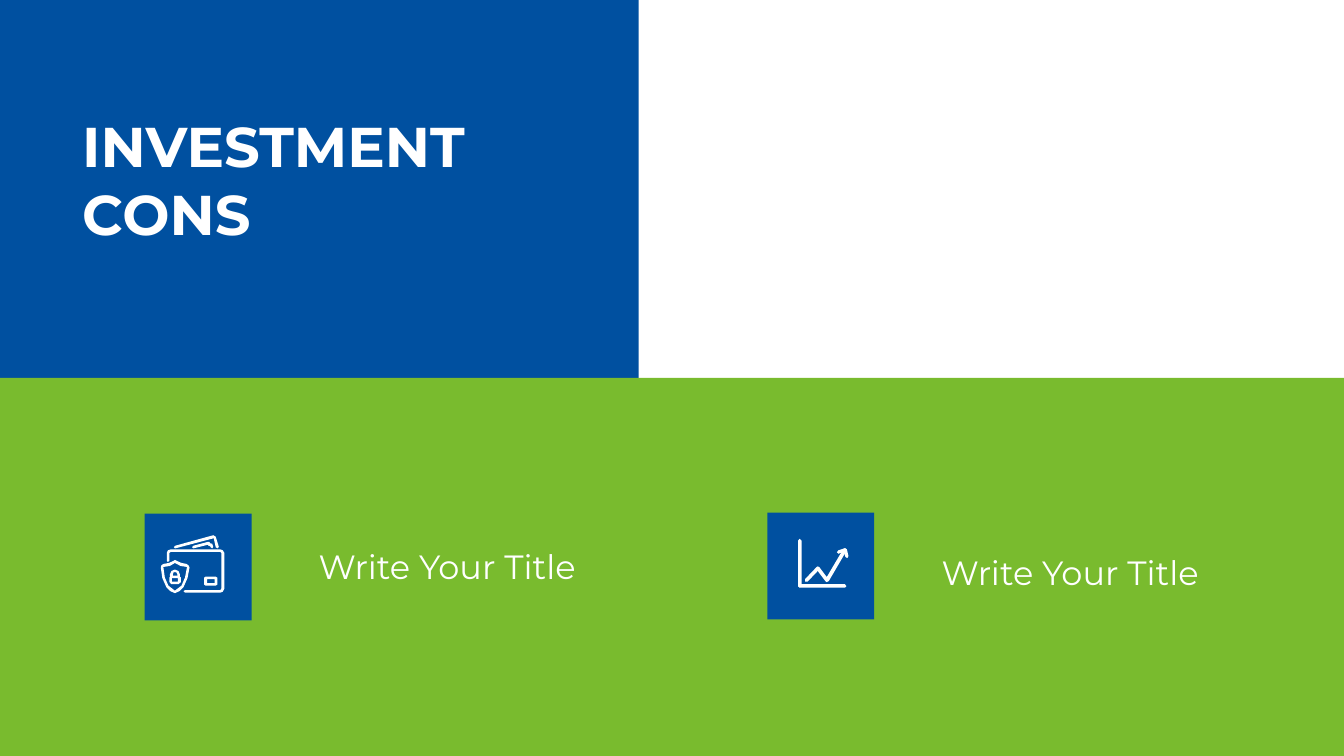
from pptx import Presentation
from pptx.dml.color import RGBColor
from pptx.enum.shapes import MSO_SHAPE as Shape
from pptx.enum.text import MSO_ANCHOR as Anchor, MSO_AUTO_SIZE as Fit, PP_ALIGN as Align
from pptx.util import Inches, Pt

BLUE, GREEN, WHITE = "0050A0", "79BB2E", "FFFFFF"
FONT = "Montserrat"
TILE = 2.12
UNIT = Inches(0.01)

# Icon parts: each part is a list of closed outlines, in hundredths of an inch
CHART = [
    # axes
    [[(86, 166), (83, 163), (83, 73), (86, 69), (90, 73), (90, 163)]],
    [[(176, 166), (87, 166), (83, 163), (87, 159), (176, 159), (179, 163)]],
    # trend
    [[(140, 155), (138, 154), (122, 133), (102, 154), (97, 154), (97, 149),
      (120, 125), (122, 124), (125, 125), (140, 145), (173, 89), (178, 88),
      (179, 93), (144, 153)]],
    # arrow tip
    [[(180, 107), (177, 105), (173, 92), (175, 88), (180, 90), (183, 103), (181, 107)]],
    [[(164, 99), (160, 96), (163, 92), (175, 88), (180, 90), (177, 94), (165, 98)]],
]
WALLET = [
    # clasp
    [[(111, 157), (126, 157), (126, 149), (111, 149)],
     [(128, 162), (108, 162), (105, 160), (105, 146), (108, 144), (128, 144),
      (131, 146), (131, 160)]],
    # cards
    [[(47, 88), (45, 86), (47, 83), (123, 62), (128, 65), (134, 85), (132, 88),
      (128, 86), (124, 68), (48, 88)]],
    [[(84, 88), (81, 86), (83, 83), (113, 75), (115, 75), (117, 78), (121, 79),
      (123, 85), (121, 88), (118, 86), (117, 84), (114, 83), (112, 81)]],
    # body
    [[(137, 176), (67, 176), (64, 173), (67, 171), (137, 171), (139, 168),
      (139, 97), (137, 95), (39, 95), (36, 97), (36, 113), (33, 115), (31, 113),
      (31, 97), (33, 92), (39, 90), (137, 90), (142, 92), (145, 97), (145, 168),
      (142, 174)]],
    # shield
    [[(47, 117), (37, 123), (24, 125), (27, 146), (34, 162), (47, 172),
      (60, 162), (67, 146), (71, 125), (58, 123)],
     [(47, 177), (38, 173), (30, 165), (22, 147), (19, 126), (20, 122),
      (24, 119), (35, 117), (44, 113), (47, 111), (51, 113), (60, 117),
      (70, 119), (74, 122), (76, 126), (72, 147), (64, 165), (56, 173)]],
    # lock
    [[(41, 154), (53, 154), (53, 147), (41, 147)],
     [(54, 159), (40, 159), (36, 155), (36, 146), (40, 142), (54, 142),
      (59, 146), (59, 155)]],
    [[(54, 147), (52, 144), (52, 140), (50, 136), (47, 135), (44, 136), (43, 140),
      (43, 144), (40, 147), (37, 144), (37, 140), (40, 133), (47, 130), (54, 133),
      (57, 140), (57, 144)]],
]


def tint(hue):
    return RGBColor.from_string(hue)


def paint(shape, hue):
    shape.shadow.inherit = False
    shape.fill.solid()
    shape.fill.fore_color.rgb = tint(hue)
    shape.line.fill.background()


def add_block(shapes, x, y, w, h, hue):
    block = shapes.add_shape(Shape.RECTANGLE, Inches(x), Inches(y), Inches(w), Inches(h))
    paint(block, hue)


def write(frame, text, size, bold=False, wrap=True):
    frame.word_wrap = wrap
    frame.auto_size = Fit.SHAPE_TO_FIT_TEXT
    frame.vertical_anchor = Anchor.TOP
    para = frame.paragraphs[0]
    para.alignment = Align.LEFT
    run = para.add_run()
    run.text = text
    font = run.font
    font.name, font.size, font.bold = FONT, Pt(size), bold
    font.color.rgb = tint(WHITE)


def set_title(slide, text):
    title = slide.shapes.title
    title.left, title.top = Inches(1.53), Inches(2.17)
    title.width, title.height = Inches(8.5), Inches(2.79)
    write(title.text_frame, text, 80, bold=True)
    # bring the title in front of the panels
    title.element.getparent().append(title.element)


def draw_icon(shapes, parts, x, y):
    for part in parts:
        pen = shapes.build_freeform(*part[0][0], scale=UNIT)
        pen.add_line_segments(part[0][1:])
        for ring in part[1:]:
            pen.move_to(*ring[0])
            pen.add_line_segments(ring[1:])
        paint(pen.convert_to_shape(Inches(x), Inches(y)), WHITE)


def add_item(slide, text, tile, label, icon, start):
    shapes = slide.shapes.add_group_shape().shapes
    add_block(shapes, *tile, TILE, TILE, BLUE)
    x, y = label
    box = shapes.add_textbox(Inches(x), Inches(y), Inches(5.53), Inches(0.91))
    write(box.text_frame, text, 48, wrap=False)
    draw_icon(shapes, icon, *start)


def main():
    deck = Presentation()
    deck.slide_width, deck.slide_height = Inches(26.66), Inches(15)
    slide = deck.slides.add_slide(deck.slide_layouts[5])

    # Panels and title
    add_block(slide.shapes, 0, 0, 12.67, 7.5, BLUE)
    add_block(slide.shapes, 0, 7.5, 26.66, 7.5, GREEN)
    set_title(slide, "INVESTMENT CONS")

    # Items with icons
    add_item(slide, "Write Your Title", (15.22, 10.17), (18.58, 10.91), CHART, (15, 10))
    add_item(slide, "Write Your Title", (2.87, 10.19), (6.22, 10.78), WALLET, (3, 10))

    deck.save("out.pptx")


if __name__ == "__main__":
    main()
